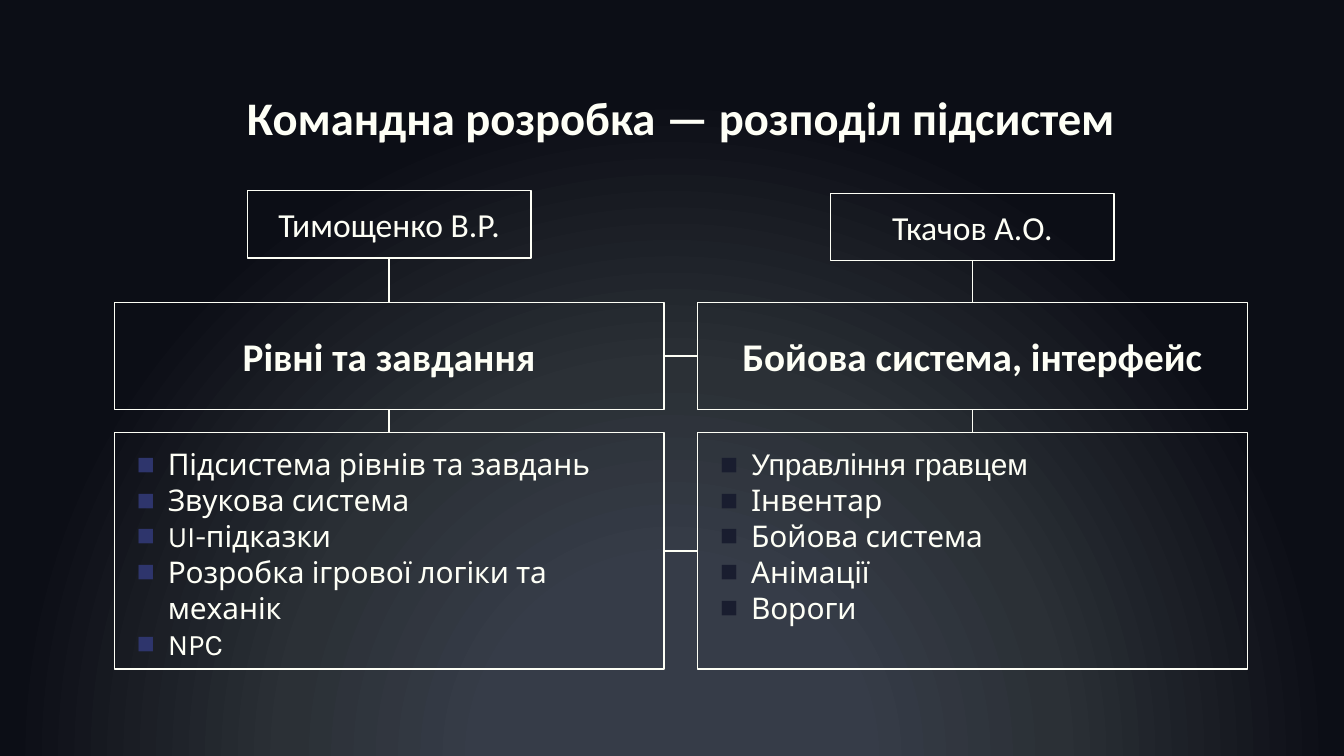
from pptx import Presentation
from pptx.dml.color import RGBColor
from pptx.enum.shapes import MSO_CONNECTOR, MSO_SHAPE
from pptx.enum.text import MSO_ANCHOR, PP_ALIGN
from pptx.oxml import parse_xml
from pptx.oxml.ns import nsdecls, qn
from pptx.util import Inches, Pt
from lxml import etree

RECT = MSO_SHAPE.RECTANGLE
ELBOW = MSO_CONNECTOR.ELBOW
CENTER, LEFT = PP_ALIGN.CENTER, PP_ALIGN.LEFT
TOP, MIDDLE = MSO_ANCHOR.TOP, MSO_ANCHOR.MIDDLE
UP_SITE, LEFT_SITE, DOWN_SITE, RIGHT_SITE = range(4)

TITLE = "Командна розробка — розподіл підсистем"
TEAM = [
    {
        "name": "Тимощенко В.Р.", "top": 1.42,
        "area": "Рівні та завдання",
        "tasks": ["Підсистема рівнів та завдань", "Звукова система", "UI-підказки",
                  "Розробка ігрової логіки та механік", "NPC"],
        "fonts": ["Karla"] * 5, "mark": "2E356C", "level": 0,
    },
    {
        "name": "Ткачов А.О.", "top": 1.44,
        "area": "Бойова система, інтерфейс",
        "tasks": ["Управління гравцем", "Інвентар", "Бойова система", "Анімації", "Вороги"],
        "fonts": ["Arial"] + ["Karla"] * 4, "mark": "191D2F", "level": 1,
    },
]

THEME = {
    "ink": RGBColor.from_string("FEFFF6"),
    "glow": [(24, "363C48"), (50, "2B3036"), (86, "0C0E16")],
    "head": "Calibri",
    "title": 25, "area": 21, "name": 18, "task": 16,
    "line": 0.75,
}

PAGE_W = 10
PAGE_H = PAGE_W * 9 / 16
EDGE, WIDE, GAP = 0.85, 4.09, 0.25
NAME_W, NAME_H = 2.11, 0.5
AREA_Y, AREA_H = 2.25, 0.8
TASK_Y, TASK_H = 3.22, 1.76
PAD = 0.1


def paint_back(slide):
    stops = "".join(
        f'<a:gs pos="{pos * 1000}"><a:srgbClr val="{hue}"/></a:gs>'
        for pos, hue in THEME["glow"])
    slide.element.cSld.insert(0, parse_xml(
        f'<p:bg {nsdecls("p", "a")}><p:bgPr><a:gradFill><a:gsLst>{stops}</a:gsLst>'
        '<a:path path="circle"><a:fillToRect l="50000" t="130000" r="50000" b="-30000"/>'
        '</a:path></a:gradFill><a:effectLst/></p:bgPr></p:bg>'))


def set_frame(frame, anchor):
    frame.word_wrap = True
    frame.vertical_anchor = anchor
    frame.margin_left = frame.margin_right = Inches(PAD)
    frame.margin_top = frame.margin_bottom = Inches(PAD)


def style(par, size, face, bold=False, align=CENTER):
    par.alignment = align
    for run in par.runs:
        font = run.font
        font.size, font.name, font.bold = Pt(size), face, bold
        font.color.rgb = THEME["ink"]


def add_box(slide, x, y, w, h, text, anchor=MIDDLE):
    box = slide.shapes.add_shape(RECT, Inches(x), Inches(y), Inches(w), Inches(h))
    box.shadow.inherit = False
    box.fill.background()
    box.line.color.rgb = THEME["ink"]
    box.line.width = Pt(THEME["line"])
    set_frame(box.text_frame, anchor)
    box.text_frame.text = text
    return box


def add_mark(par, hue):
    props = par._p.get_or_add_pPr()
    props.set("marL", str(Inches(0.3)))
    props.set("indent", str(Inches(-0.23)))
    color = etree.SubElement(props, qn("a:buClr"))
    etree.SubElement(color, qn("a:srgbClr")).set("val", hue)
    etree.SubElement(props, qn("a:buFont")).set("typeface", "Arial")
    etree.SubElement(props, qn("a:buChar")).set("char", "■")


def join(slide, start, out, end, into):
    line = slide.shapes.add_connector(ELBOW, 0, 0, 0, 0)
    line.begin_connect(start, out)
    line.end_connect(end, into)
    line.line.color.rgb = THEME["ink"]
    line.line.width = Pt(THEME["line"])
    etree.SubElement(line._element.spPr, qn("a:effectLst"))


def add_member(slide, col, member):
    x = EDGE + col * (WIDE + GAP)
    name = add_box(slide, x + (WIDE - NAME_W) / 2, member["top"], NAME_W, NAME_H,
                   member["name"])
    style(name.text_frame.paragraphs[0], THEME["name"], THEME["head"])
    area = add_box(slide, x, AREA_Y, WIDE, AREA_H, member["area"])
    style(area.text_frame.paragraphs[0], THEME["area"], THEME["head"], True)
    tasks = add_box(slide, x, TASK_Y, WIDE, TASK_H, "\n".join(member["tasks"]), TOP)
    for par, face in zip(tasks.text_frame.paragraphs, member["fonts"]):
        add_mark(par, member["mark"])
        par.level = member["level"]
        style(par, THEME["task"], face, align=LEFT)
    join(slide, name, DOWN_SITE, area, UP_SITE)
    join(slide, area, DOWN_SITE, tasks, UP_SITE)
    return area, tasks


def main():
    deck = Presentation()
    deck.slide_width, deck.slide_height = Inches(PAGE_W), Inches(PAGE_H)
    slide = deck.slides.add_slide(deck.slide_layouts[5])
    paint_back(slide)

    title = slide.shapes.title
    title.left, title.top = Inches(EDGE), Inches(0.56)
    title.width, title.height = Inches(2 * WIDE + GAP), Inches(0.6)
    set_frame(title.text_frame, TOP)
    title.text_frame.text = TITLE
    style(title.text_frame.paragraphs[0], THEME["title"], THEME["head"], True)

    first, second = [add_member(slide, col, member) for col, member in enumerate(TEAM)]
    for left, right in zip(first, second):
        join(slide, left, RIGHT_SITE, right, LEFT_SITE)

    deck.save("out.pptx")


if __name__ == "__main__":
    main()
